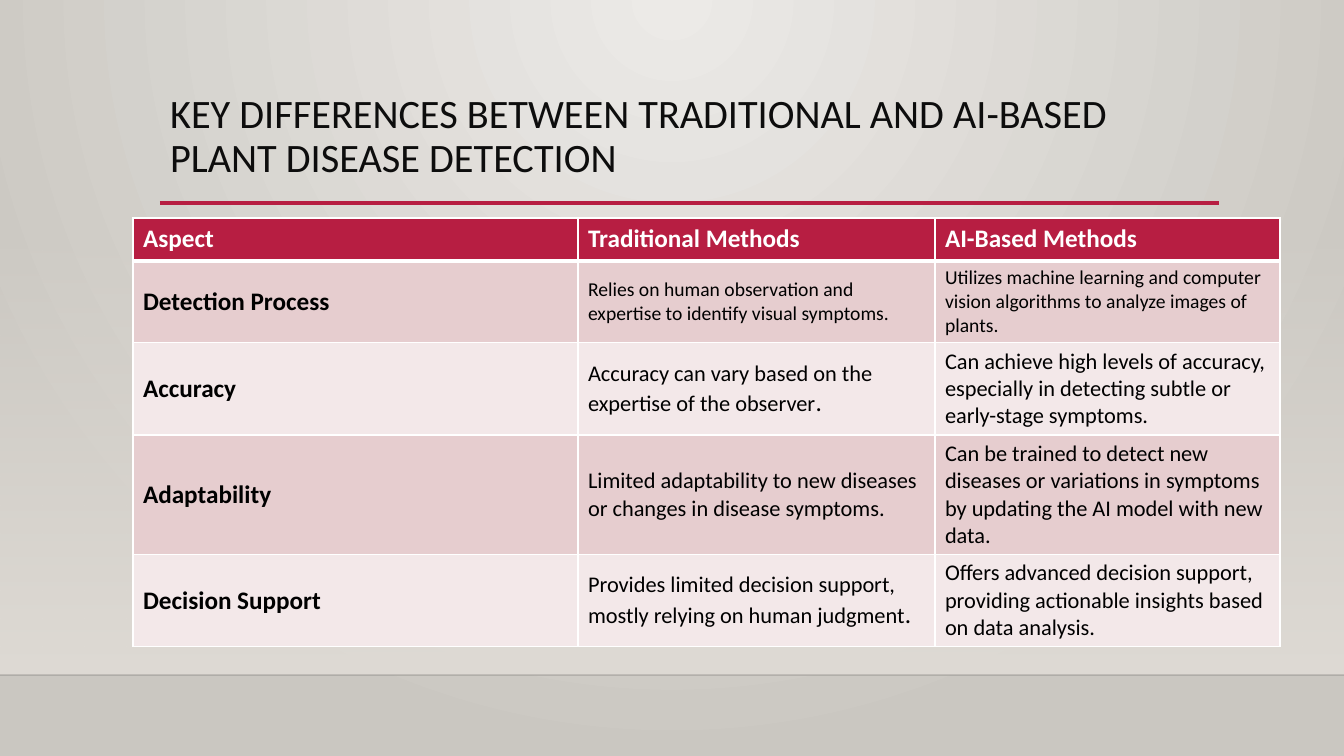
from pptx import Presentation
from pptx.dml.color import RGBColor
from pptx.enum.shapes import MSO_CONNECTOR, MSO_SHAPE
from pptx.enum.text import MSO_ANCHOR, PP_ALIGN
from pptx.oxml import parse_xml
from pptx.oxml.ns import nsdecls, qn
from pptx.util import Emu, Pt

STRAIGHT = MSO_CONNECTOR.STRAIGHT
RECT = MSO_SHAPE.RECTANGLE
TOP, MIDDLE = MSO_ANCHOR.TOP, MSO_ANCHOR.MIDDLE
LEFT = PP_ALIGN.LEFT
SCALE = 914400 / 100.8
ROSE, WHITE, BLACK = "B71E42", "FFFFFF", "000000"
BANDS = ["E6CDCF", "F3E8E9"]
HEADS = ["Aspect", "Traditional Methods", "AI-Based Methods"]
COLS = [445, 357, 345]
HIGHS = [43, 78, 88, 113, 89]
ROWS = [
    ("Detection Process", 14, 14,
     "Relies on human observation and expertise to identify visual symptoms",
     "Utilizes machine learning and computer vision algorithms to analyze images of plants."),
    ("Accuracy", 16, 18,
     "Accuracy can vary based on the expertise of the observer",
     "Can achieve high levels of accuracy, especially in detecting subtle or early-stage symptoms."),
    ("Adaptability", 16, 16,
     "Limited adaptability to new diseases or changes in disease symptoms",
     "Can be trained to detect new diseases or variations in symptoms by updating the AI model with new data."),
    ("Decision Support", 16, 18,
     "Provides limited decision support, mostly relying on human judgment",
     "Offers advanced decision support, providing actionable insights based on data analysis."),
]


def px(n):
    return Emu(round(n * SCALE))


def rgb(code):
    return RGBColor.from_string(code)


def apply(item, style):
    for key, value in style.items():
        setattr(item, key, value)


class Deck:
    """Holds the style and the current slide."""

    def __init__(self):
        self.font = "Calibri"
        self.show = Presentation()
        apply(self.show, {"slide_width": px(1344), "slide_height": px(756)})
        self.slide = self.show.slides.add_slide(self.show.slide_layouts[5])
        self.shapes = self.slide.shapes

    def blend(self, fill, root, stops, shade):
        fill.gradient()
        old = next(root.iter(qn("a:gradFill")))
        marks = "".join(
            f'<a:gs pos="{pos}"><a:srgbClr val="{code}"><a:alpha val="{alpha}"/></a:srgbClr></a:gs>'
            for pos, code, alpha in stops)
        new = parse_xml(f'<a:gradFill {nsdecls("a")} rotWithShape="1">'
                        f'<a:gsLst>{marks}</a:gsLst>{shade}</a:gradFill>')
        old.getparent().replace(old, new)

    def back(self, inner, outer):
        shade = '<a:path path="circle"><a:fillToRect l="43000" t="0" r="43000" b="100000"/></a:path>'
        stops = [(0, inner, 100000), (100000, outer, 100000)]
        self.blend(self.slide.background.fill, self.slide.element, stops, shade)

    def wall(self, x, y, w, h, code):
        wall = self.shapes.add_shape(RECT, px(x), px(y), px(w), px(h))
        wall.shadow.inherit = False
        wall.line.fill.background()
        stops = [(0, code, 0), (100000, code, 100000)]
        self.blend(wall.fill, wall.element, stops, '<a:lin ang="5400000" scaled="0"/>')

    def rule(self, x, y, end, code, width, alpha=100):
        rule = self.shapes.add_connector(STRAIGHT, px(x), px(y), px(end), px(y))
        rule.line.color.rgb = rgb(code)
        rule.line.width = Pt(width)
        tint = next(rule.element.iter(qn("a:srgbClr")))
        tint.append(parse_xml(f'<a:alpha {nsdecls("a")} val="{alpha * 1000}"/>'))
        rule.element.spPr.append(parse_xml(f'<a:effectLst {nsdecls("a")}/>'))

    def text(self, frame, runs, code, bold=False):
        para = frame.paragraphs[0]
        para.alignment = LEFT
        for words, size in runs:
            run = para.add_run()
            run.text = words
            apply(run.font, {"name": self.font, "size": Pt(size), "bold": bold})
            run.font.color.rgb = rgb(code)
        return para

    def title(self, x, y, w, h, words, size, code):
        title = self.shapes.title
        apply(title, {"left": px(x), "top": px(y), "width": px(w), "height": px(h)})
        apply(title.text_frame, {"word_wrap": True, "vertical_anchor": TOP})
        self.text(title.text_frame, [(words, size)], code).line_spacing = 0.9

    def cell(self, cell, runs, fill, code, bold, anchor, top, bottom):
        cell.vertical_anchor = anchor
        props = cell._tc.get_or_add_tcPr()
        for side, width in zip("LRTB", (1, 1, top, bottom)):
            props.append(parse_xml(
                f'<a:ln{side} {nsdecls("a")} w="{Pt(width)}"><a:solidFill>'
                f'<a:srgbClr val="{WHITE}"/></a:solidFill></a:ln{side}>'))
        cell.fill.solid()
        cell.fill.fore_color.rgb = rgb(fill)
        self.text(cell.text_frame, runs, code, bold)

    def table(self, x, y):
        frame = self.shapes.add_table(len(HIGHS), len(COLS), px(x), px(y),
                                      px(sum(COLS)), px(sum(HIGHS)))
        grid = frame.table
        for col, wide in zip(grid.columns, COLS):
            col.width = px(wide)
        for row, high in zip(grid.rows, HIGHS):
            row.height = px(high)
        for c, head in enumerate(HEADS):
            self.cell(grid.cell(0, c), [(head, 18)], ROSE, WHITE, True, TOP, 1, 3)
        for r, (label, size, dot, old, new) in enumerate(ROWS, 1):
            stop = [(old + ".", size)] if dot == size else [(old, size), (".", dot)]
            for c, runs in enumerate([[(label, 18)], stop, [(new, size)]]):
                self.cell(grid.cell(r, c), runs, BANDS[(r - 1) % 2], BLACK,
                          c == 0, MIDDLE, 3 if r == 1 else 1, 1)


def main():
    deck = Deck()
    deck.back("ECEAE7", "CAC7C1")
    deck.wall(0, 223, 1344, 452, "DFDBD5")
    deck.rule(0, 675, 1344, "000001", 1, 20)
    deck.rule(160, 203, 1219, ROSE, 2.5)
    deck.title(160, 89, 1059, 116,
               "KEY DIFFERENCES BETWEEN TRADITIONAL AND AI-BASED PLANT DISEASE DETECTION",
               28.8, "0D0D0D")
    deck.table(133, 218)
    deck.show.save("out.pptx")


if __name__ == "__main__":
    main()
